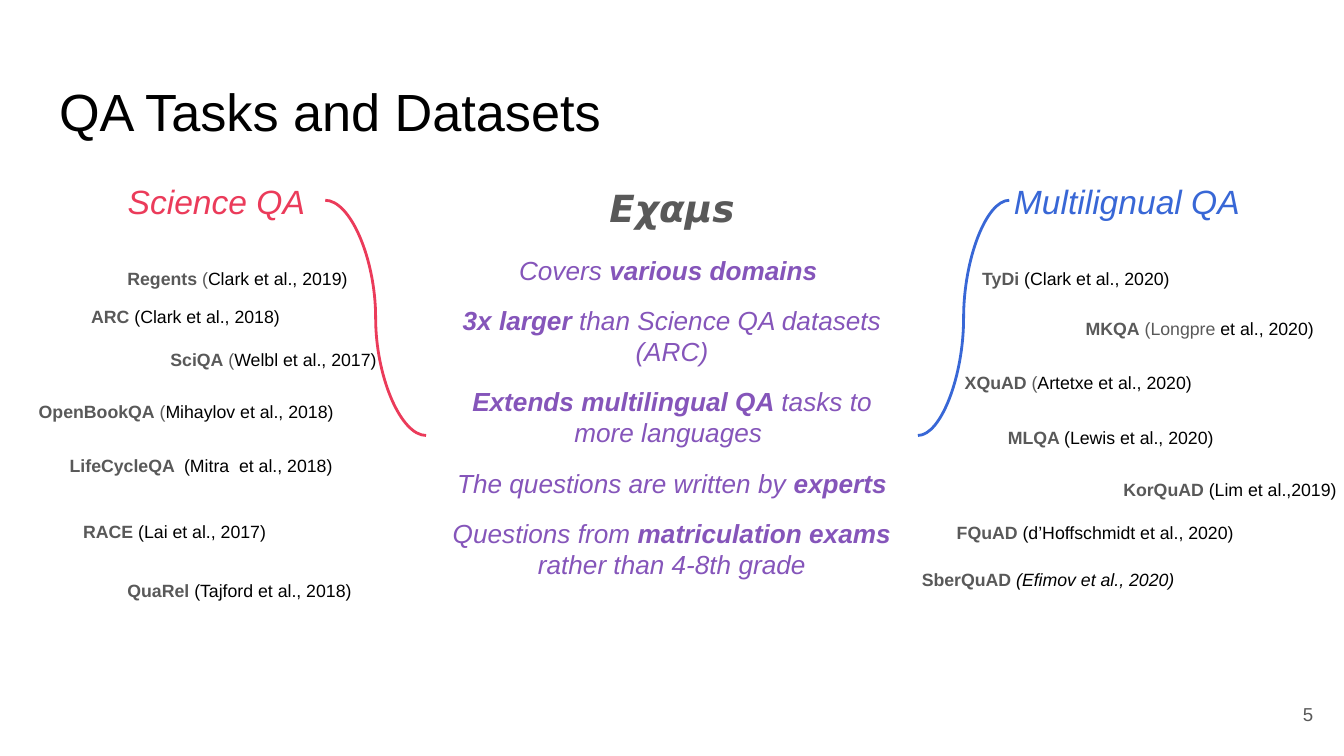
from lxml.etree import SubElement
from pptx import Presentation
from pptx.dml.color import RGBColor
from pptx.enum.shapes import MSO_CONNECTOR
from pptx.enum.text import MSO_ANCHOR as ANCHOR, MSO_AUTO_SIZE as FIT, PP_ALIGN as ALIGN
from pptx.oxml.ns import qn
from pptx.util import Pt

PX = 9144
BLACK, GRAY, PURPLE, RED, BLUE = "000000", "595959", "8555BA", "EB3B5A", "3867D6"

SCIENCE = [
    ("Regents", " (", "Clark et al., 2019)", 66, 59, 186, 43),
    ("ARC ", "", "(Clark et al., 2018)", 39, 87, 162, 35),
    ("SciQA", " (", "Welbl et al., 2017)", 98, 119, 203, 35),
    ("OpenBookQA", " (", "Mihaylov et al., 2018)", 0, 158, 286, 35),
    ("LifeCycleQA ", "", " (Mitra  et al., 2018)", 23, 198, 219, 35),
    ("RACE ", "", "(Lai et al., 2017)", 33, 247, 162, 35),
    ("QuaRel", "", " (Tajford et al., 2018)", 66, 291, 213, 35),
]
MULTILINGUAL = [
    ("TyDi ", "", "(Clark et al., 2020)", 45, 59, 175, 32),
    ("MKQA", " (Longpre ", "et al., 2020)", 122, 96, 207, 32),
    ("XQuAD", " (", "Artetxe et al., 2020)", 32, 136, 197, 32),
    ("MLQA ", "", "(Lewis et al., 2020)", 64, 177, 175, 32),
    ("KorQuAD ", "", "(Lim et al.,2019)", 150, 216, 207, 32),
    ("FQuAD ", "", "(d’Hoffschmidt et al., 2020)", 26, 248, 241, 43),
    ("SberQuAD ", "", "(Efimov et al., 2020)", 0, 283, 215, 32),
]
ITALIC_CITATIONS = {"SberQuAD "}
CLAIMS = [
    [("Covers ", False), ("various domains ", True)],
    [("3x larger", True), (" than Science QA datasets (ARC)", False)],
    [("Extends multilingual QA ", True), ("tasks to more languages ", False)],
    [("The questions are written by ", False), ("experts", True)],
    [("Questions from ", False), ("matriculation exams", True), (" rather than 4-8th grade", False)],
]


def rgb(color):
    """Turn a hex string into a colour."""
    return RGBColor.from_string(color)


def place(shape, x, y, w, h):
    """Move and size a shape in px."""
    shape.left, shape.top, shape.width, shape.height = (v * PX for v in (x, y, w, h))


def set_frame(tf, inset=10, anchor=ANCHOR.TOP):
    """Give a text frame its insets, anchor and wrapping."""
    tf.word_wrap, tf.auto_size, tf.vertical_anchor = True, FIT.NONE, anchor
    tf.margin_left = tf.margin_right = tf.margin_top = tf.margin_bottom = inset * PX


def set_font(p, size, color, italic=None, bold=None, name="Arial"):
    """Set the font shared by all runs of a paragraph."""
    font = p.font
    font.name, font.size, font.italic, font.bold = name, Pt(size), italic, bold
    font.color.rgb = rgb(color)


def add_box(s, x, y, w, h, **frame):
    """Add a text box and return its text frame."""
    tf = s.shapes.add_textbox(x * PX, y * PX, w * PX, h * PX).text_frame
    set_frame(tf, **frame)
    return tf


def add_label(s, box, text, size, color, align=ALIGN.CENTER, frame=None, **font):
    """Add a text box with a single line in one font."""
    p = add_box(s, *box, **(frame or {})).paragraphs[0]
    p.text, p.alignment = text, align
    set_font(p, size, color, **font)


def add_title(s, box, text):
    """Fill the title placeholder."""
    place(s.shapes.title, *box)
    tf = s.shapes.title.text_frame
    set_frame(tf)
    p = tf.paragraphs[0]
    p.text, p.alignment = text, ALIGN.LEFT
    set_font(p, 28, BLACK)


def add_dataset(s, x, y, w, h, name, link, citation):
    """Add one dataset name with its citation."""
    p = add_box(s, x, y, w, h).paragraphs[0]
    p.line_spacing, p.space_after = 1.15, Pt(16)
    set_font(p, 9.5, GRAY)
    for text, color in ((name, GRAY), (link, GRAY), (citation, BLACK)):
        if text:
            r = p.add_run()
            r.text, r.font.bold = text, text == name
            r.font.color.rgb = rgb(color)
    r.font.italic = name in ITALIC_CITATIONS


def add_curve(s, x1, y1, x2, y2, color):
    """Add a curved line without a shadow."""
    line = s.shapes.add_connector(MSO_CONNECTOR.CURVE, *(v * PX for v in (x1, y1, x2, y2)))
    line.line.color.rgb, line.line.width = rgb(color), Pt(1.5)
    SubElement(line._element.spPr, qn("a:effectLst"))


def add_family(s, x, y, heading, head_x, head_w, curve_x, color, datasets):
    """Add a heading, its curve and its scattered datasets."""
    for name, link, citation, dx, dy, w, h in datasets:
        add_dataset(s, x + dx, y + dy, w, h, name, link, citation)
    add_label(s, (x + head_x, y, head_w, 43), heading, 18, color, italic=True,
              frame={"inset": 0, "anchor": ANCHOR.MIDDLE})
    start, end = curve_x
    add_curve(s, x + start, y + 21, x + end, y + 196, color)


def add_claims(s, x, y, w, h):
    """Add the central name and the claims below it."""
    add_label(s, (x + 102, y, 162, 59), "Eχαμs", 20, GRAY,
              italic=True, bold=True, name="DejaVu Sans")
    tf = add_box(s, x, y + 51, w, h - 51)
    for i, claim in enumerate(CLAIMS):
        p = tf.add_paragraph() if i else tf.paragraphs[0]
        p.alignment, p.space_before = ALIGN.CENTER, Pt(10 if i else 0)
        set_font(p, 14, PURPLE, italic=True)
        for text, bold in claim:
            r = p.add_run()
            r.text, r.font.bold = text, bold
    p.space_after = Pt(10)


def main():
    """Build and save the slide."""
    prs = Presentation()
    prs.slide_width = 1000 * PX
    prs.slide_height = prs.slide_width * 9 // 16
    s = prs.slides.add_slide(prs.slide_layouts[5])
    add_title(s, (34, 49, 932, 63), "QA Tasks and Datasets")
    add_family(s, 19, 128, "Science QA", 61, 162, (223, 298), RED, SCIENCE)
    add_family(s, 676, 128, "Multilignual QA", 75, 175, (75, 7), BLUE, MULTILINGUAL)
    add_claims(s, 317, 128, 366, 341)
    add_label(s, (927, 510, 60, 43), "5", 10, GRAY, ALIGN.RIGHT, {"anchor": ANCHOR.MIDDLE})
    prs.save("out.pptx")


if __name__ == "__main__":
    main()
